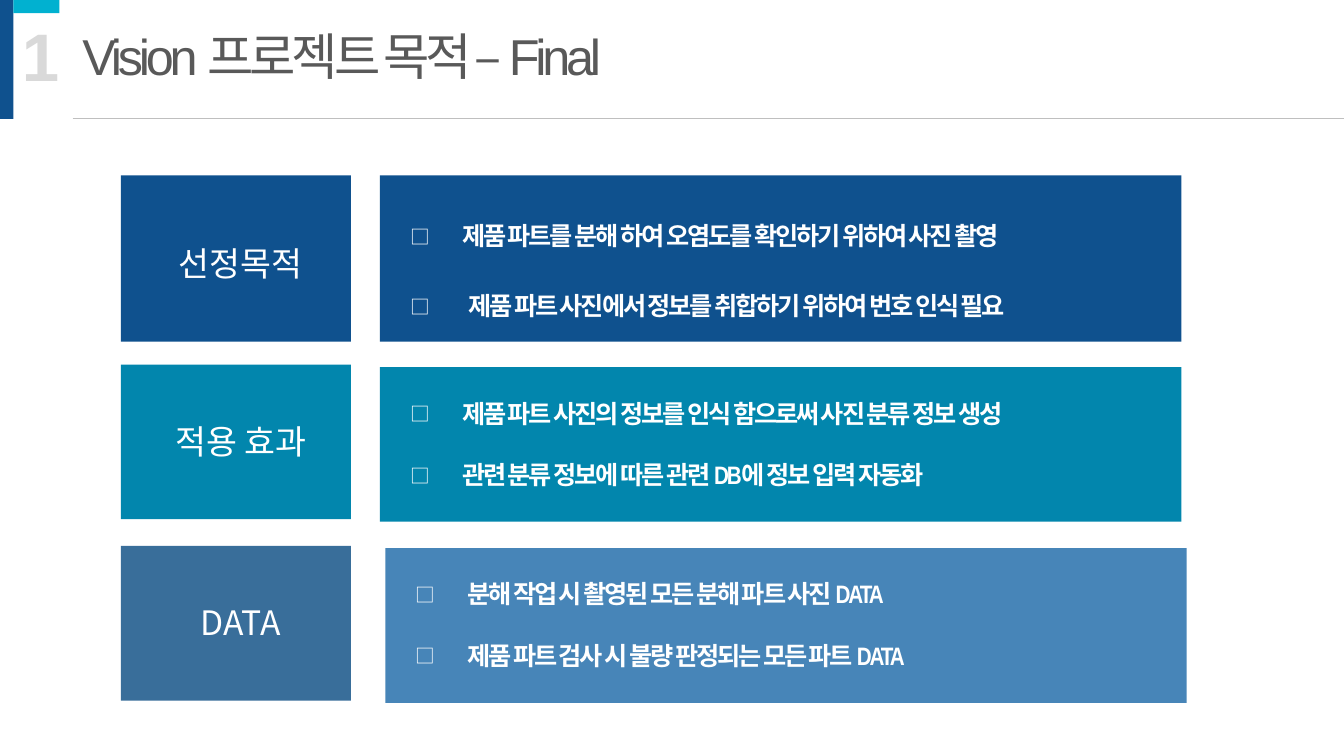
from lxml import etree
from pptx import Presentation
from pptx.dml.color import RGBColor
from pptx.enum.shapes import MSO_CONNECTOR, MSO_SHAPE
from pptx.enum.text import PP_ALIGN
from pptx.oxml.ns import qn
from pptx.util import Pt

RECTANGLE = MSO_SHAPE.RECTANGLE
STRAIGHT = MSO_CONNECTOR.STRAIGHT
LEFT, CENTER = PP_ALIGN.LEFT, PP_ALIGN.CENTER
KOREAN_FONT = "Noto Sans CJK KR"
NAVY, WHITE = "0F518E", "FFFFFF"
SLIDE_WIDTH, SLIDE_HEIGHT = 960, 540
LABEL_LEFT, LABEL_WIDTH = 86.4, 164.2
PANEL_WIDTH = 572.4

# Label: text, top, text offset, colour. Panel: left, top, colour. Items: text, offset, indent.
ROWS = [
    (118.8, ("선정목적", 125.3, 44.6, NAVY), (271.4, 125.3, NAVY), [
        ("제품 파트를 분해 하여 오염도를 확인하기 위하여 사진 촬영", 18, 37),
        ("제품 파트 사진에서 정보를 취합하기 위하여 번호 인식 필요", 67.8, 41.5)]),
    (110.4, ("적용 효과", 260.4, 36.7, "0286AD"), (271.4, 262.2, "0286AD"), [
        ("제품 파트 사진의 정보를 인식 함으로써 사진 분류 정보 생성", 7.8, 37),
        ("관련 분류 정보에 따른 관련 DB에 정보 입력 자동화", 51.7, 37)]),
    (110.4, ("DATA", 390, 36.7, "396E9A"), (275.2, 391.6, "4785B8"), [
        ("분해 작업 시 촬영된 모든 분해 파트 사진 DATA", 7.4, 37),
        ("제품 파트 검사 시 불량 판정되는 모든 파트 DATA", 51.3, 37)]),
]


def color(hex_string):
    return RGBColor.from_string(hex_string)


def add_rectangle(slide, left, top, width, height, fill):
    shape = slide.shapes.add_shape(RECTANGLE, Pt(left), Pt(top), Pt(width), Pt(height))
    shape.shadow.inherit = False
    shape.fill.solid()
    shape.fill.fore_color.rgb = color(fill)
    shape.line.fill.background()


def add_text(slide, left, top, width, height, text, size, font_name, text_color,
             bold=False, spacing=0, align=LEFT):
    """Add a one-paragraph text box and return its paragraph; spacing is in points."""
    frame = slide.shapes.add_textbox(Pt(left), Pt(top), Pt(width), Pt(height)).text_frame
    frame.word_wrap = True
    paragraph = frame.paragraphs[0]
    paragraph.text = text
    paragraph.alignment = align
    font = paragraph.font
    font.size, font.name, font.bold = Pt(size), font_name, bold
    font.color.rgb = color(text_color)
    properties = paragraph._p.pPr.find(qn("a:defRPr"))
    properties.set("spc", str(round(spacing * 100)))
    etree.SubElement(properties, qn("a:ea")).set("typeface", KOREAN_FONT)
    return paragraph


def add_square_bullet(paragraph, indent):
    properties = paragraph._p.pPr
    properties.set("marL", str(Pt(indent)))
    properties.set("indent", str(-Pt(indent)))
    defaults = properties.find(qn("a:defRPr"))
    for tag, name, value in (("a:buSzPct", "val", "78000"),
                             ("a:buFont", "typeface", KOREAN_FONT),
                             ("a:buChar", "char", "□")):
        bullet_part = etree.Element(qn(tag))
        bullet_part.set(name, value)
        defaults.addprevious(bullet_part)


def add_header(slide, left, top, width, height):
    add_rectangle(slide, left, top, 9.5, height, NAVY)
    add_rectangle(slide, left + 9.5, top, 33, 9.4, "01B1D0")
    add_text(slide, left + 8.6, top + 6.5, 42, 65.5, "1", 48, "Arial", "D9D9D9", bold=True)
    add_text(slide, left + 51.8, top + 14.4, 600, 51, "Vision 프로젝트 목적 – Final",
             36, "Arial", "595959", spacing=-3)
    line_top = Pt(top + height - 0.5)
    rule = slide.shapes.add_connector(STRAIGHT, Pt(left + 51.8), line_top,
                                      Pt(left + width), line_top)
    rule.line.color.rgb = color("BFBFBF")
    rule.line.width = Pt(0.5)
    etree.SubElement(rule._element.spPr, qn("a:effectLst"))


def add_label(slide, left, top, width, height, text, text_offset, fill):
    add_rectangle(slide, left, top, width, height, fill)
    add_text(slide, left + 26, top + text_offset, width - 45, 36, text,
             24, KOREAN_FONT, WHITE, align=CENTER)


def add_panel(slide, left, top, width, height, fill, items):
    add_rectangle(slide, left, top, width, height, fill)
    for text, offset, indent in items:
        paragraph = add_text(slide, left + 14.6, top + offset, width - 29, 36, text,
                             18, "Arial Narrow", WHITE, bold=True, spacing=-1.5)
        paragraph.line_spacing = 1.5
        add_square_bullet(paragraph, indent)


def main():
    presentation = Presentation()
    presentation.slide_width, presentation.slide_height = Pt(SLIDE_WIDTH), Pt(SLIDE_HEIGHT)
    slide = presentation.slides.add_slide(presentation.slide_layouts[6])
    add_header(slide, 0, 0, SLIDE_WIDTH, 85)
    for height, label, panel, items in ROWS:
        label_text, label_top, text_offset, label_fill = label
        add_label(slide, LABEL_LEFT, label_top, LABEL_WIDTH, height,
                  label_text, text_offset, label_fill)
        panel_left, panel_top, panel_fill = panel
        add_panel(slide, panel_left, panel_top, PANEL_WIDTH, height, panel_fill, items)
    presentation.save("out.pptx")


if __name__ == "__main__":
    main()
